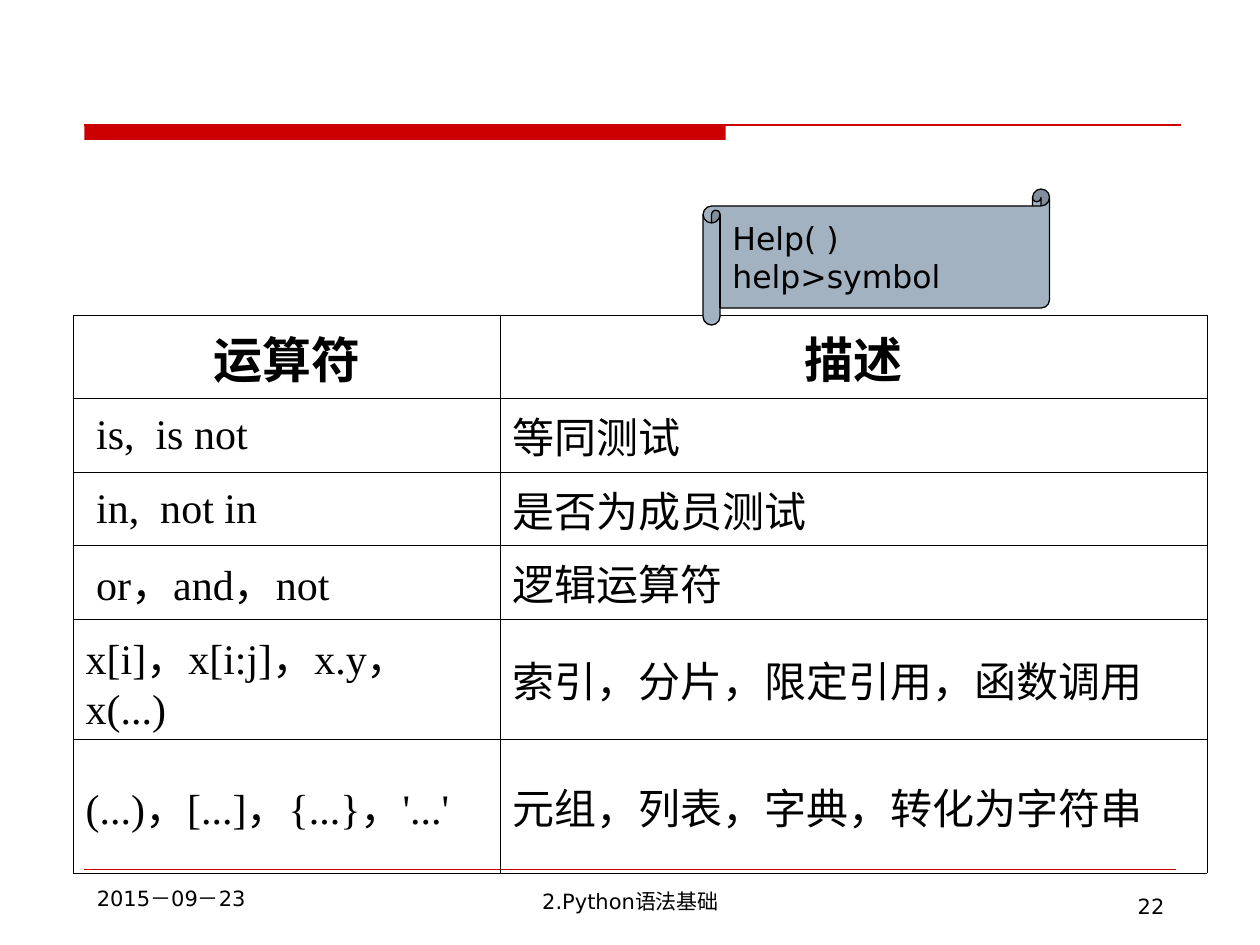
import pptx
import pptx.dml.color
import pptx.enum.lang
import pptx.enum.shapes
import pptx.enum.text
import pptx.oxml
import pptx.oxml.ns
import pptx.util
from pptx.util import Inches

SHAPE = pptx.enum.shapes.MSO_SHAPE
ALIGN = pptx.enum.text.PP_ALIGN
MIDDLE = pptx.enum.text.MSO_ANCHOR.MIDDLE
CHINESE = pptx.enum.lang.MSO_LANGUAGE_ID.SIMPLIFIED_CHINESE

# Content
RED, BLACK, SCROLL_BLUE = "CC0000", "000000", "A3B2C1"
FOOTERS = [  # text, left, top, width, height, alignment
    ("2015－09－23", 0.67, 6.98, 2.17, 0.37, ALIGN.LEFT),
    ("2.Python语法基础", 3.42, 7, 3.17, 0.37, ALIGN.CENTER),
    ("22", 7.17, 7.04, 2.17, 0.29, ALIGN.RIGHT),
]
OPERATORS = [
    ("运算符", "描述"),
    (" is,  is not", "等同测试"),
    (" in,  not in", "是否为成员测试"),
    (" or，and，not", "逻辑运算符"),
    ("x[i]，x[i:j]，x.y，x(...)", "索引，分片，限定引用，函数调用"),
    ("(...)，[...]，{...}，'...'", "元组，列表，字典，转化为字符串"),
]
COL_WIDTHS = [3.39, 5.61]
ROW_HEIGHTS = [0.66, 0.59, 0.58, 0.59, 0.95, 1.06]
HELP_LINES = ["Help( )", "help>symbol"]
SANS = {"name": "DejaVu Sans", "language_id": CHINESE}
SERIF = {"name": "Times New Roman", "language_id": CHINESE}
FOOTER_FONT = {**SANS, "size": pptx.util.Pt(12)}
HELP_FONT = {**SANS, "size": pptx.util.Pt(18)}
HEAD_FONT = {**SERIF, "size": pptx.util.Pt(28), "bold": True}
BODY_FONT = {**SERIF, "size": pptx.util.Pt(24), "bold": False}


def rgb(value):
    return pptx.dml.color.RGBColor.from_string(value)


def write(p, text, font, align=ALIGN.LEFT):
    p.alignment = align
    r = p.add_run()
    r.text = text
    for key, value in font.items():
        setattr(r.font, key, value)
    r.font.color.rgb = rgb(BLACK)


def add_line(s, x1, x2, y, width):
    line = s.shapes.add_connector(
        pptx.enum.shapes.MSO_CONNECTOR.STRAIGHT,
        Inches(x1), Inches(y), Inches(x2), Inches(y))
    line.line.color.rgb = rgb(RED)
    line.line.width = pptx.util.Pt(width)
    line._element.spPr.append(pptx.oxml.parse_xml(
        f'<a:effectLst {pptx.oxml.ns.nsdecls("a")}/>'))


def add_shape(s, kind, box, fill):
    sp = s.shapes.add_shape(kind, *map(Inches, box))
    sp.shadow.inherit = False
    sp.fill.solid()
    sp.fill.fore_color.rgb = rgb(fill)
    return sp


def add_borders(cell):
    tcPr = cell._tc.get_or_add_tcPr()
    for i, side in enumerate(("lnL", "lnR", "lnT", "lnB")):
        tcPr.insert(i, pptx.oxml.parse_xml(
            f'<a:{side} {pptx.oxml.ns.nsdecls("a")} w="{pptx.util.Pt(0.45)}">'
            f'<a:solidFill><a:srgbClr val="{BLACK}"/></a:solidFill></a:{side}>'))


prs = pptx.Presentation()
prs.slide_width, prs.slide_height = Inches(10), Inches(7.5)
s = prs.slides.add_slide(prs.slide_layouts[6])

# Title band and rules
band = add_shape(s, SHAPE.RECTANGLE, (0.67, 0.99, 5.09, 0.12), RED)
band.line.fill.background()
add_line(s, 0.67, 9.37, 0.99, 1)
add_line(s, 0.67, 9.33, 6.9, 0.25)

# Footer
for text, *box, align in FOOTERS:
    tf = s.shapes.add_textbox(*map(Inches, box)).text_frame
    tf.word_wrap = True
    write(tf.paragraphs[0], text, FOOTER_FONT, align)

# Operator table
table = s.shapes.add_table(
    len(OPERATORS), len(COL_WIDTHS), Inches(0.58), Inches(2.5),
    Inches(sum(COL_WIDTHS)), Inches(sum(ROW_HEIGHTS))).table
table.first_row = table.horz_banding = False
for col, width in zip(table.columns, COL_WIDTHS):
    col.width = Inches(width)
for i, (row, height) in enumerate(zip(table.rows, ROW_HEIGHTS)):
    row.height = Inches(height)
    for cell, text in zip(row.cells, OPERATORS[i]):
        cell.fill.background()
        cell.vertical_anchor = MIDDLE
        add_borders(cell)
        font, align = (BODY_FONT, ALIGN.LEFT) if i else (HEAD_FONT, ALIGN.CENTER)
        write(cell.text_frame.paragraphs[0], text, font, align)

# Help scroll
scroll = add_shape(s, SHAPE.HORIZONTAL_SCROLL, (5.58, 1.5, 2.75, 1.08), SCROLL_BLUE)
scroll.adjustments[0] = 0.125
scroll.line.color.rgb = rgb(BLACK)
scroll.line.width = pptx.util.Pt(0.75)
tf = scroll.text_frame
tf.word_wrap = False
tf.vertical_anchor = MIDDLE
for i, text in enumerate(HELP_LINES):
    write(tf.add_paragraph() if i else tf.paragraphs[0], text, HELP_FONT)

prs.save("out.pptx")
